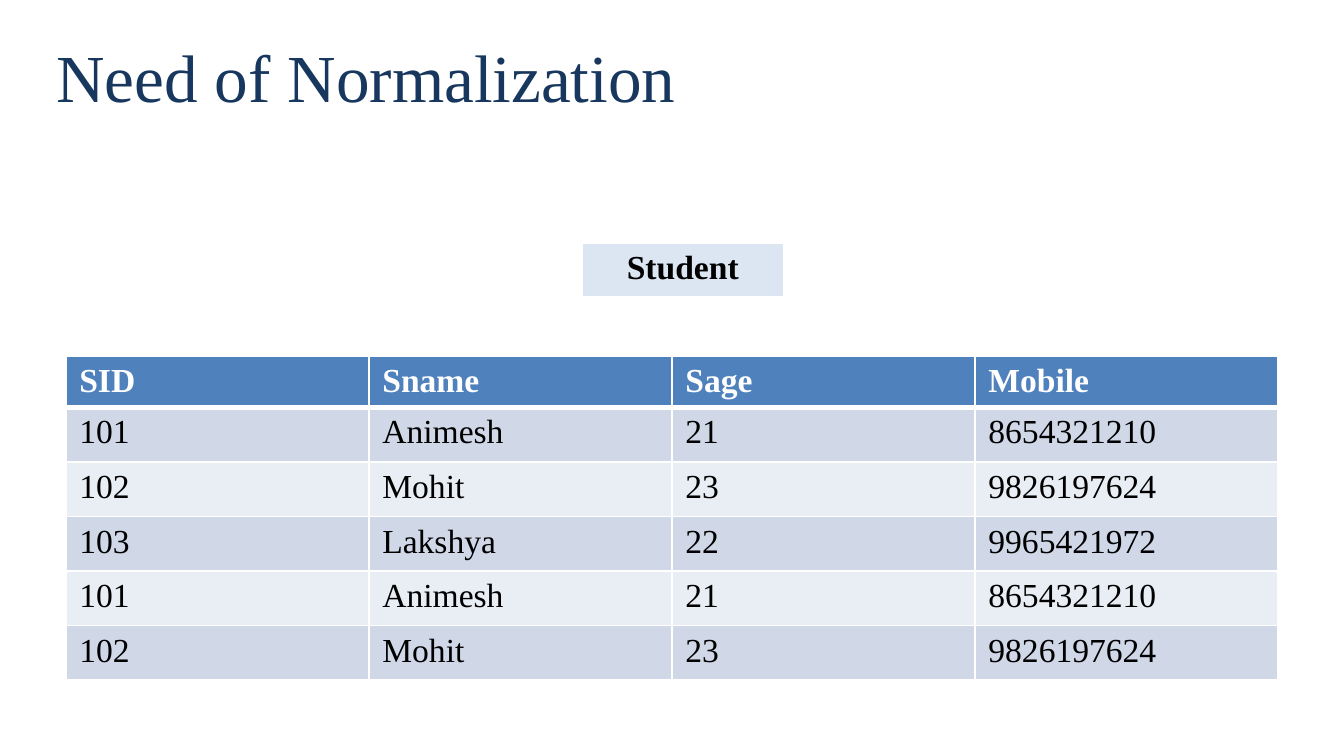
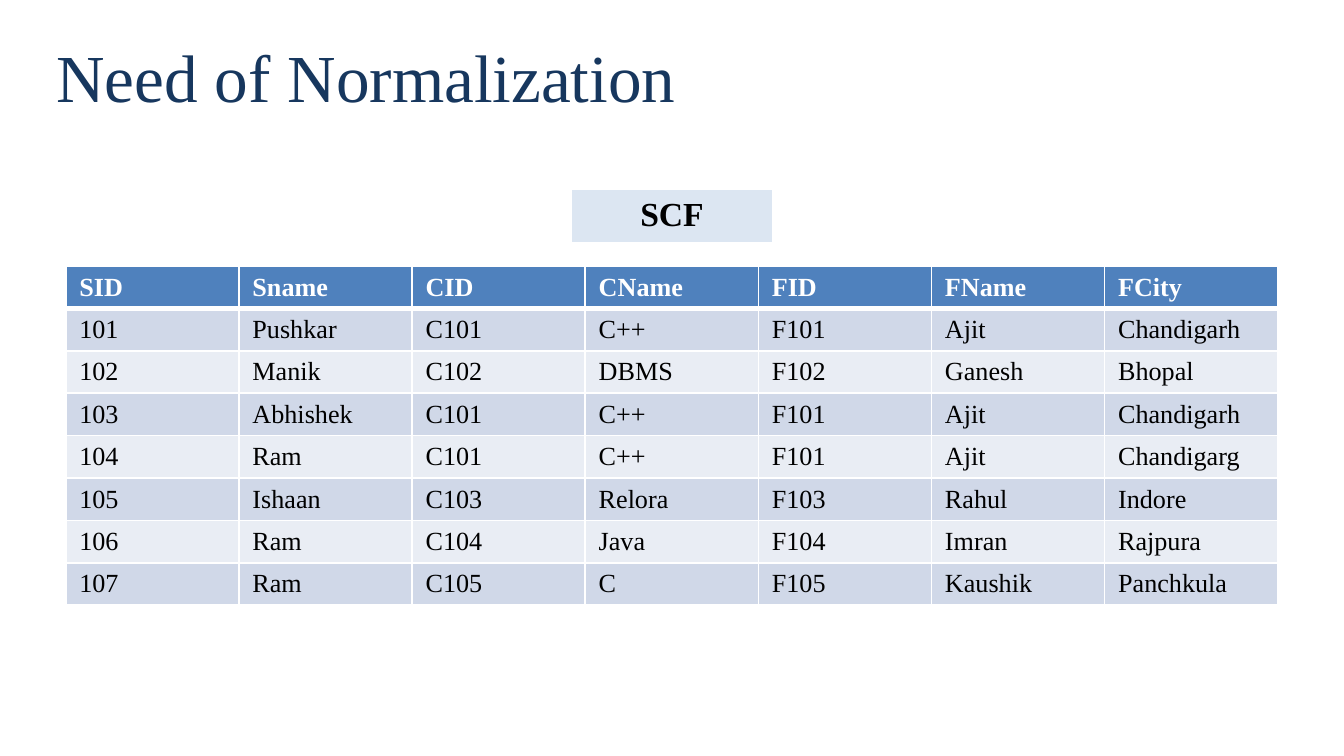
import dataclasses
import typing

import lxml.etree
import pptx
import pptx.dml.color
import pptx.enum.text
import pptx.oxml.ns
import pptx.presentation
import pptx.slide
import pptx.table
import pptx.util

Inches = pptx.util.Inches
Align = pptx.enum.text.PP_ALIGN


@dataclasses.dataclass(frozen=True)
class Theme:
    font: str = "Times New Roman"
    title: str = "17375E"
    header: str = "4F81BD"
    header_text: str = "FFFFFF"
    bands: tuple[str, str] = ("D0D8E8", "E9EDF4")
    body_text: str = "000000"
    relation_fill: str = "DCE6F2"
    border: str = "FFFFFF"
    title_size: int = 36
    relation_size: int = 18
    thin: int = 1
    thick: int = 3


THEME = Theme()


class Box(typing.NamedTuple):
    left: float
    top: float
    width: float
    height: float


@dataclasses.dataclass(frozen=True)
class CellStyle:
    fill: str
    color: str
    size: int
    bold: bool = False
    align: Align = Align.LEFT
    top_border: int = THEME.thin
    bottom_border: int = THEME.thin


@dataclasses.dataclass(frozen=True)
class Relation:
    name: str
    name_box: Box
    box: Box
    header_height: float
    size: int
    records: list[tuple[str, ...]]


HEADING = "Need of Normalization"

STUDENT = Relation(
    "Student", Box(4.33, 1.81, 1.5, 0.41), Box(0.49, 2.65, 9.02, 2.41), 0.38, 18,
    [
        ("SID", "Sname", "Sage", "Mobile"),
        ("101", "Animesh", "21", "8654321210"),
        ("102", "Mohit", "23", "9826197624"),
        ("103", "Lakshya", "22", "9965421972"),
        ("101", "Animesh", "21", "8654321210"),
        ("102", "Mohit", "23", "9826197624"),
    ],
)

SCF = Relation(
    "SCF", Box(4.25, 1.41, 1.5, 0.41), Box(0.49, 1.98, 9.02, 2.48), 0.31, 14,
    [
        ("SID", "Sname", "CID", "CName", "FID", "FName", "FCity"),
        ("101", "Pushkar", "C101", "C++", "F101", "Ajit", "Chandigarh"),
        ("102", "Manik", "C102", "DBMS", "F102", "Ganesh", "Bhopal"),
        ("103", "Abhishek", "C101", "C++", "F101", "Ajit", "Chandigarh"),
        ("104", "Ram", "C101", "C++", "F101", "Ajit", "Chandigarg"),
        ("105", "Ishaan", "C103", "Relora", "F103", "Rahul", "Indore"),
        ("106", "Ram", "C104", "Java", "F104", "Imran", "Rajpura"),
        ("107", "Ram", "C105", "C", "F105", "Kaushik", "Panchkula"),
    ],
)


def add_run(paragraph, text: str, size: int, color: str, bold: bool = False) -> None:
    run = paragraph.add_run()
    run.text = text
    run.font.name = THEME.font
    run.font.size = pptx.util.Pt(size)
    run.font.bold = bold
    run.font.color.rgb = pptx.dml.color.RGBColor.from_string(color)


def set_borders(cell: pptx.table._Cell, style: CellStyle) -> None:
    qn = pptx.oxml.ns.qn
    properties = cell._tc.get_or_add_tcPr()
    widths = {
        "a:lnL": THEME.thin,
        "a:lnR": THEME.thin,
        "a:lnT": style.top_border,
        "a:lnB": style.bottom_border,
    }
    for position, (side, width) in enumerate(widths.items()):
        line = lxml.etree.Element(qn(side), w=str(pptx.util.Pt(width)))
        solid = lxml.etree.SubElement(line, qn("a:solidFill"))
        lxml.etree.SubElement(solid, qn("a:srgbClr"), val=THEME.border)
        properties.insert(position, line)


def fill_cell(cell: pptx.table._Cell, text: str, style: CellStyle) -> None:
    cell.fill.solid()
    cell.fill.fore_color.rgb = pptx.dml.color.RGBColor.from_string(style.fill)
    set_borders(cell, style)
    paragraph = cell.text_frame.paragraphs[0]
    paragraph.alignment = style.align
    add_run(paragraph, text, style.size, style.color, style.bold)


def add_grid(
    slide: pptx.slide.Slide,
    box: Box,
    heights: list[float],
    records: list[tuple[str, ...]],
    styles: list[CellStyle],
) -> None:
    grid = slide.shapes.add_table(
        len(records), len(records[0]), *(Inches(length) for length in box)
    ).table
    for row, height, record, style in zip(grid.rows, heights, records, styles):
        row.height = Inches(height)
        for cell, text in zip(row.cells, record):
            fill_cell(cell, text, style)


def record_style(index: int, size: int) -> CellStyle:
    if index == 0:
        return CellStyle(THEME.header, THEME.header_text, size, bold=True,
                         bottom_border=THEME.thick)
    return CellStyle(THEME.bands[(index - 1) % 2], THEME.body_text, size,
                     top_border=THEME.thick if index == 1 else THEME.thin)


def add_heading(slide: pptx.slide.Slide) -> None:
    heading = slide.shapes.title
    heading.left, heading.top = Inches(0.32), Inches(0.14)
    heading.width, heading.height = Inches(9.02), Inches(0.84)
    heading.text_frame.vertical_anchor = pptx.enum.text.MSO_ANCHOR.MIDDLE
    paragraph = heading.text_frame.paragraphs[0]
    paragraph.alignment = Align.LEFT
    add_run(paragraph, HEADING, THEME.title_size, THEME.title)


def add_relation_slide(deck: pptx.presentation.Presentation, relation: Relation) -> None:
    slide = deck.slides.add_slide(deck.slide_layouts.get_by_name("Title Only"))
    add_heading(slide)
    count = len(relation.records)
    row_height = (relation.box.height - relation.header_height) / (count - 1)
    heights = [relation.header_height] + [row_height] * (count - 1)
    styles = [record_style(index, relation.size) for index in range(count)]
    add_grid(slide, relation.box, heights, relation.records, styles)
    name_style = CellStyle(THEME.relation_fill, THEME.body_text, THEME.relation_size,
                           bold=True, align=Align.CENTER, bottom_border=THEME.thick)
    add_grid(slide, relation.name_box, [relation.name_box.height],
             [(relation.name,)], [name_style])


def main() -> None:
    deck = pptx.Presentation()
    deck.slide_width = Inches(10)
    deck.slide_height = deck.slide_width * 9 // 16
    for relation in (STUDENT, SCF):
        add_relation_slide(deck, relation)
    deck.save("out.pptx")


if __name__ == "__main__":
    main()
